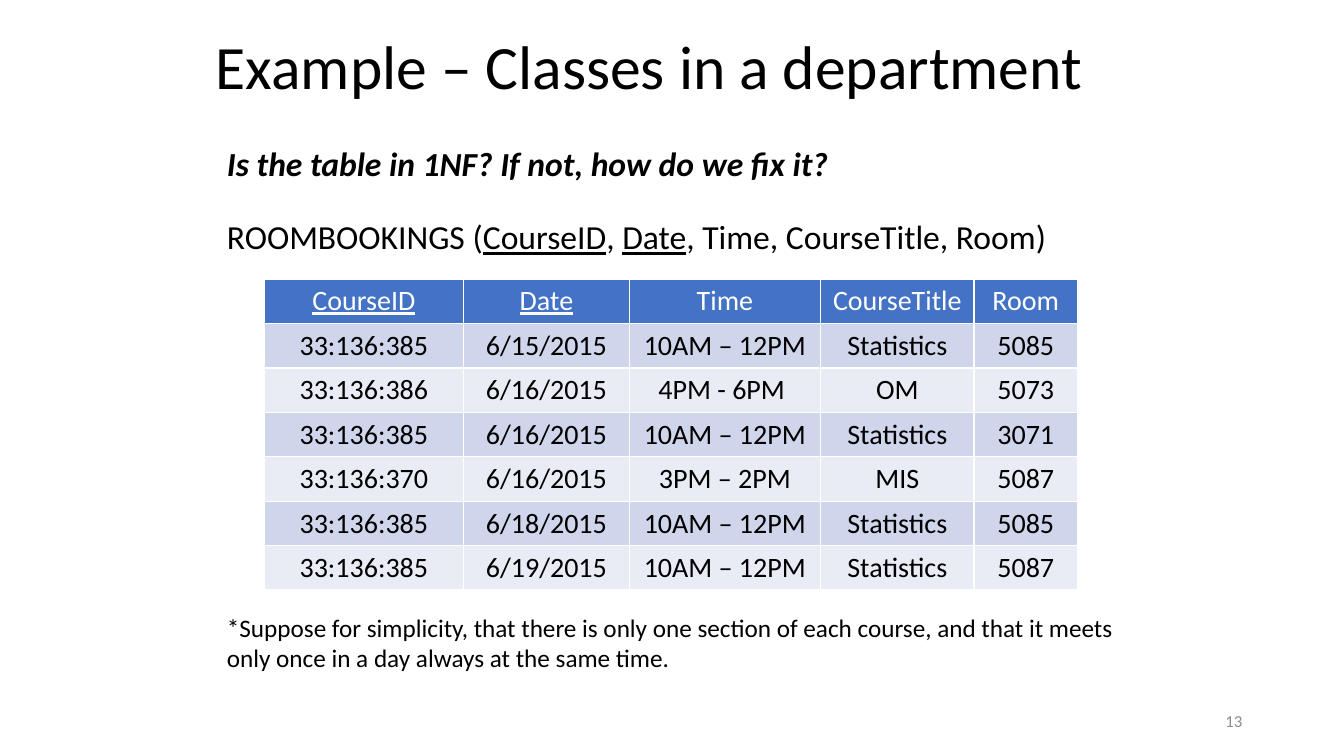
from pptx import Presentation
from pptx.dml.color import RGBColor
from pptx.enum.text import MSO_ANCHOR, MSO_AUTO_SIZE, PP_ALIGN
from pptx.oxml.ns import qn
from pptx.util import Inches, Pt

BLACK = RGBColor(0x00, 0x00, 0x00)
WHITE = RGBColor(0xFF, 0xFF, 0xFF)
GRAY = RGBColor(0x8C, 0x8C, 0x8C)
BLUE = RGBColor(0x44, 0x72, 0xC4)
BANDS = [RGBColor(0xCF, 0xD5, 0xEA), RGBColor(0xE9, 0xEB, 0xF5)]

# Content
TITLE = "Example – Classes in a department"
PAGE = "13"
KEYS = ("CourseID", "Date")
# Each paragraph: runs, size, bold italic, points of space before
BODY = [
    (["Is the table in 1NF? If not, how do we fix it?"], 24, True, 0),
    (["ROOMBOOKINGS (", "CourseID", ", ", "Date", ", Time, CourseTitle, Room)"],
     24, False, 23.5),
    (["*Suppose for simplicity, that there is only one section of each course, "
      "and that it meets only once in a day always at the same time."],
     18, False, 254),
]
BOOKINGS = [
    ("CourseID", "Date", "Time", "CourseTitle", "Room"),
    ("33:136:385", "6/15/2015", "10AM – 12PM", "Statistics", "5085"),
    ("33:136:386", "6/16/2015", "4PM - 6PM ", "OM", "5073"),
    ("33:136:385", "6/16/2015", "10AM – 12PM", "Statistics", "3071"),
    ("33:136:370", "6/16/2015", "3PM – 2PM", "MIS", "5087"),
    ("33:136:385", "6/18/2015", "10AM – 12PM", "Statistics", "5085"),
    ("33:136:385", "6/19/2015", "10AM – 12PM", "Statistics", "5087"),
]
COL_WIDTHS = [1.98, 1.64, 1.9, 1.52, 1.03]
ROW_HEIGHT = 0.44


def place(sp, left, top, width, height):
    sp.left, sp.top = Inches(left), Inches(top)
    sp.width, sp.height = Inches(width), Inches(height)


def style(font, size, color=BLACK):
    font.name, font.size = "Calibri", Pt(size)
    font.color.rgb = color


prs = Presentation()
prs.slide_width, prs.slide_height = Inches(13.33), Inches(7.5)
s = prs.slides.add_slide(prs.slide_layouts[1])

# Title
title = s.shapes.title
place(title, 2.04, 0.12, 9.23, 1.13)
tf = title.text_frame
tf.text = TITLE
tf.auto_size = MSO_AUTO_SIZE.NONE
tf.vertical_anchor = MSO_ANCHOR.MIDDLE
p = tf.paragraphs[0]
p.alignment, p.line_spacing = PP_ALIGN.LEFT, 0.9
style(p.runs[0].font, 44)

# Question, schema and footnote, with room for the table between
body = s.placeholders[1]
place(body, 2.15, 1.37, 9.12, 5.64)
tf = body.text_frame
tf.auto_size = MSO_AUTO_SIZE.NONE
for i, (runs, size, strong, before) in enumerate(BODY):
    p = tf.paragraphs[0] if i == 0 else tf.add_paragraph()
    pPr = p._p.get_or_add_pPr()
    pPr.set("marL", "0")
    pPr.set("indent", "0")
    pPr.append(pPr.makeelement(qn("a:buNone"), {}))
    p.space_before = Pt(before)
    for text in runs:
        r = p.add_run()
        r.text = text
        style(r.font, size)
        r.font.bold = r.font.italic = strong
        r.font.underline = text in KEYS

# Bookings table
table = s.shapes.add_table(
    len(BOOKINGS), len(COL_WIDTHS), Inches(2.62), Inches(2.77),
    Inches(sum(COL_WIDTHS)), Inches(ROW_HEIGHT * len(BOOKINGS))).table
for col, width in zip(table.columns, COL_WIDTHS):
    col.width = Inches(width)
for i, row in enumerate(BOOKINGS):
    for j, text in enumerate(row):
        cell = table.cell(i, j)
        cell.fill.solid()
        cell.fill.fore_color.rgb = BANDS[(i - 1) % 2] if i else BLUE
        cell.text_frame.text = text
        p = cell.text_frame.paragraphs[0]
        p.alignment = PP_ALIGN.CENTER
        font = p.runs[0].font
        style(font, 20, BLACK if i else WHITE)
        font.bold = False
        font.underline = text in KEYS

# Page number
number = s.shapes.add_textbox(0, 0, 0, 0)
place(number, 9.42, 6.95, 3, 0.4)
tf = number.text_frame
tf.word_wrap = True
tf.vertical_anchor = MSO_ANCHOR.MIDDLE
tf.text = PAGE
p = tf.paragraphs[0]
p.alignment = PP_ALIGN.RIGHT
style(p.runs[0].font, 12, GRAY)

prs.save("out.pptx")
